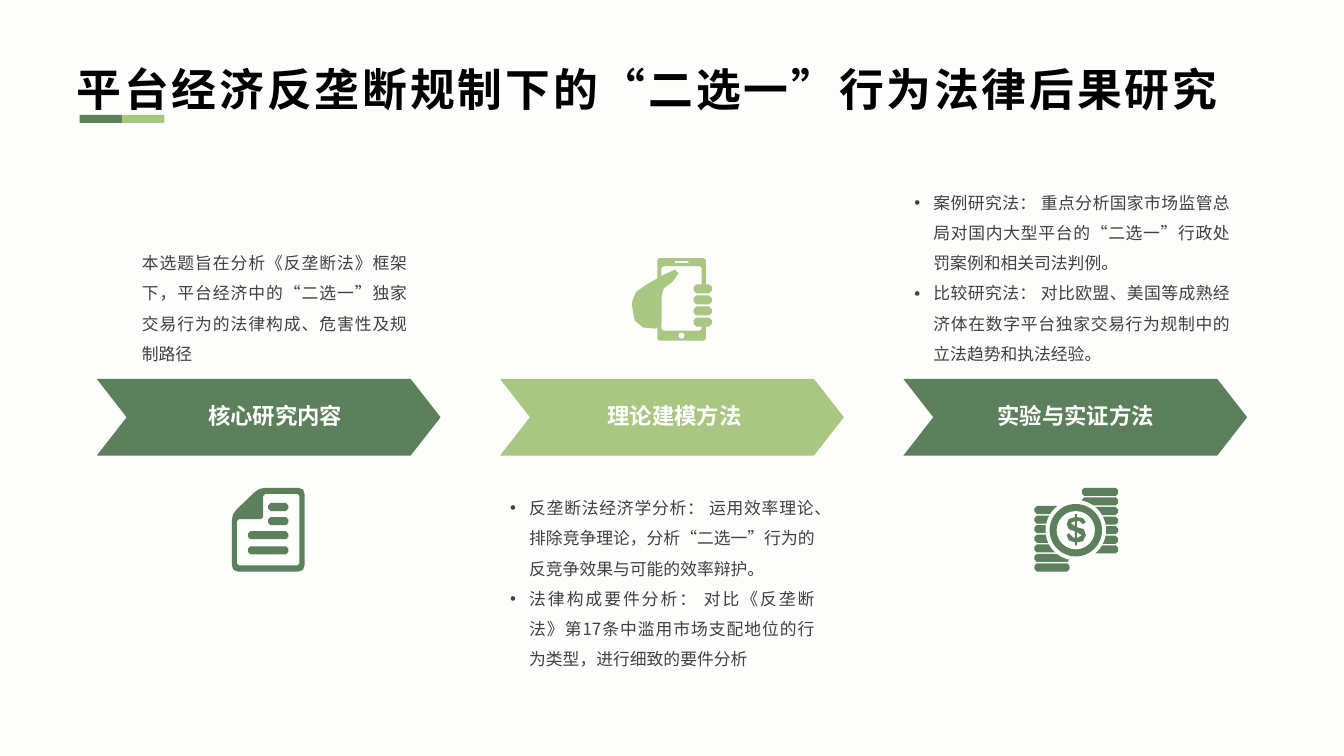
import math
from dataclasses import dataclass

import pptx
import pptx.dml.color
import pptx.enum.shapes
import pptx.enum.text
import pptx.oxml.ns
import pptx.util
from lxml import etree
from pptx.util import Inches

ALIGN = pptx.enum.text.PP_ALIGN
SHAPE = pptx.enum.shapes.MSO_SHAPE


@dataclass(frozen=True)
class Theme:
    font: str = "Noto Sans CJK SC"
    background: str = "FDFEFB"
    dark: str = "5B805B"
    light: str = "A9C683"
    body: str = "404040"
    white: str = "FFFFFF"
    black: str = "000000"
    title_size: int = 32
    label_size: int = 16
    body_size: int = 12


THEME = Theme()


def rgb(value):
    return pptx.dml.color.RGBColor.from_string(value)


def paint(shape, color):
    shape.shadow.inherit = False
    shape.fill.solid()
    shape.fill.fore_color.rgb = rgb(color)
    shape.line.fill.background()


def add_block(slide, kind, left, top, width, height, color):
    block = slide.shapes.add_shape(kind, Inches(left), Inches(top), Inches(width), Inches(height))
    paint(block, color)
    return block


def add_bullet(paragraph):
    properties = paragraph._p.get_or_add_pPr()
    properties.set("marL", str(Inches(0.19)))
    properties.set("indent", str(-Inches(0.19)))
    etree.SubElement(properties, pptx.oxml.ns.qn("a:buFont")).set("typeface", "Arial")
    etree.SubElement(properties, pptx.oxml.ns.qn("a:buChar")).set("char", "•")


def write(frame, lines, size, color, bold=False, align=ALIGN.LEFT, spacing=1.2, bullets=False):
    frame.word_wrap = True
    frame.auto_size = pptx.enum.text.MSO_AUTO_SIZE.SHAPE_TO_FIT_TEXT
    frame.text = "\n".join(lines)
    for paragraph in frame.paragraphs:
        if bullets:
            add_bullet(paragraph)
        paragraph.alignment = align
        paragraph.line_spacing = spacing
        paragraph.space_before = pptx.util.Pt(0)
        font = paragraph.runs[0].font
        font.size = pptx.util.Pt(size)
        font.bold = bold
        font.color.rgb = rgb(color)
        font.name = THEME.font
        east_asian = etree.SubElement(font._element, pptx.oxml.ns.qn("a:ea"))
        east_asian.set("typeface", THEME.font)


def add_title(slide, text):
    title = slide.shapes.title
    title.left, title.top, title.width, title.height = map(Inches, (0.66, 0.45, 12.02, 0.75))
    write(title.text_frame, [text], THEME.title_size, THEME.black, bold=True)
    title.text_frame.vertical_anchor = pptx.enum.text.MSO_ANCHOR.MIDDLE
    title.text_frame.paragraphs[0].runs[0].font._element.set("spc", "200")


def add_text(slide, box, lines, *style, **options):
    frame = slide.shapes.add_textbox(*map(Inches, box)).text_frame
    write(frame, lines, *style, **options)


def add_body(slide, box, lines, bullets=False):
    add_text(slide, box, lines, THEME.body_size, THEME.body,
             align=ALIGN.JUSTIFY, spacing=1.5, bullets=bullets)


def add_stage(slide, left, label_left, label, color):
    arrow = add_block(slide, SHAPE.CHEVRON, left, 3.76, 3.41, 0.76, color)
    arrow.adjustments[0] = 0.39
    add_text(slide, (label_left, 3.89, 2.24, 0.42), [label], THEME.label_size, THEME.white,
             bold=True, align=ALIGN.CENTER)


def rounded(corners, radius, samples=2):
    """Replace each corner of a polygon by points on a short quadratic curve."""
    outline = []
    for i, corner in enumerate(corners):
        ends = []
        for neighbour in (corners[i - 1], corners[(i + 1) % len(corners)]):
            share = min(radius / math.dist(corner, neighbour), 0.5)
            ends.append([c + (n - c) * share for c, n in zip(corner, neighbour)])
        for step in range(samples):
            t = step / (samples - 1)
            outline.append([a * (1 - t) ** 2 + 2 * c * t * (1 - t) + b * t ** 2
                            for a, c, b in zip(ends[0], corner, ends[1])])
    return outline


def bar(left, top, right, height):
    bottom = top + height
    return rounded([(left, top), (right, top), (right, bottom), (left, bottom)], height * 0.3)


def add_outline(slide, contours, color):
    """Draw contours as one freeform; a contour inside another is a hole."""
    contours = [[(Inches(x), Inches(y)) for x, y in contour] for contour in contours]
    builder = slide.shapes.build_freeform(*contours[0][0])
    for i, contour in enumerate(contours):
        if i:
            builder.move_to(*contour[0])
        builder.add_line_segments(contour[1:], close=True)
    paint(builder.convert_to_shape(), color)


def add_disc(slide, x, y, radius, color):
    add_block(slide, SHAPE.OVAL, x - radius, y - radius, 2 * radius, 2 * radius, color)


def add_phone_icon(slide):
    frame = [(6.52, 2.56), (7, 2.56), (7, 2.87), (6.96, 2.87), (6.96, 2.64), (6.56, 2.64),
             (6.56, 3.28), (6.96, 3.28), (6.96, 3.2), (7, 3.2), (7, 3.38), (6.52, 3.38)]
    hand = [(6.54, 2.75), (6.65, 2.69), (6.74, 2.66), (6.72, 2.76), (6.61, 2.84), (6.56, 2.88),
            (6.56, 3.26), (6.45, 3.26), (6.32, 3.24), (6.27, 3.1), (6.27, 2.93), (6.35, 2.86)]
    fingers = [bar(6.88, 2.82 + 0.11 * i, 7.06, 0.09) for i in range(4)]
    add_outline(slide, [rounded(frame, 0.02), bar(6.69, 2.59, 6.83, 0.02)], THEME.light)
    add_disc(slide, 6.76, 3.33, 0.03, THEME.background)
    add_outline(slide, [rounded(hand, 0.06)], THEME.light)
    add_outline(slide, fingers, THEME.light)


def add_document_icon(slide):
    page = [(2.57, 4.84), (3.02, 4.84), (3.02, 5.67), (2.3, 5.67), (2.3, 5.1)]
    inside = [(2.61, 4.9), (2.97, 4.9), (2.97, 5.61), (2.35, 5.61), (2.35, 5.15), (2.61, 5.15)]
    text_lines = [(2.66, 4.99), (2.66, 5.13), (2.46, 5.27), (2.46, 5.42)]
    add_outline(slide, [rounded(page, 0.06, 3), rounded(inside, 0.02)]
                + [bar(left, top, 2.86, 0.08) for left, top in text_lines], THEME.dark)


def add_coins_icon(slide):
    dollar = [(10.66, 5.13), (10.66, 5.1), (10.68, 5.1), (10.68, 5.13), (10.74, 5.14),
              (10.77, 5.18), (10.74, 5.2), (10.71, 5.17), (10.68, 5.17), (10.68, 5.23),
              (10.75, 5.25), (10.77, 5.31), (10.74, 5.37), (10.68, 5.38), (10.68, 5.41),
              (10.66, 5.41), (10.66, 5.38), (10.6, 5.36), (10.58, 5.31), (10.6, 5.29),
              (10.63, 5.32), (10.66, 5.34), (10.66, 5.27), (10.6, 5.25), (10.58, 5.2),
              (10.6, 5.15)]
    bowls = [[(10.66, 5.17), (10.62, 5.19), (10.66, 5.22)],
             [(10.68, 5.28), (10.68, 5.34), (10.73, 5.31)]]
    stacks = [bar(left, top + 0.095 * i, right, 0.08)
              for left, top, right in [(10.26, 5.02, 10.61), (10.73, 4.84, 11.09)]
              for i in range(7)]
    add_outline(slide, stacks, THEME.dark)
    for radius, color in [(0.3, THEME.background), (0.26, THEME.dark), (0.19, THEME.background)]:
        add_disc(slide, 10.67, 5.26, radius, color)
    add_outline(slide, [dollar] + bowls, THEME.dark)


def main():
    deck = pptx.Presentation()
    deck.slide_width, deck.slide_height = Inches(13.33), Inches(7.5)
    slide = deck.slides.add_slide(deck.slide_layouts[5])
    slide.background.fill.solid()
    slide.background.fill.fore_color.rgb = rgb(THEME.background)

    add_title(slide, "平台经济反垄断规制下的“二选一”行为法律后果研究")
    for left, color in [(0.79, THEME.dark), (1.21, THEME.light)]:
        add_block(slide, SHAPE.RECTANGLE, left, 1.14, 0.42, 0.08, color)

    add_phone_icon(slide)
    add_document_icon(slide)
    add_coins_icon(slide)

    stages = [(1.61, "核心研究内容", THEME.dark),
              (5.57, "理论建模方法", THEME.light),
              (9.55, "实验与实证方法", THEME.dark)]
    for i, (label_left, label, color) in enumerate(stages):
        add_stage(slide, 0.96 + 4 * i, label_left, label, color)

    add_body(slide, (1.31, 2.36, 2.83, 1.31), [
        "本选题旨在分析《反垄断法》框架下，平台经济中的“二选一”独家交易行为的法律构成、危害性及规制路径"])
    add_body(slide, (4.96, 4.79, 3.22, 1.92), [
        "反垄断法经济学分析： 运用效率理论、排除竞争理论，分析“二选一”行为的反竞争效果与可能的效率辩护。",
        "法律构成要件分析： 对比《反垄断法》第17条中滥用市场支配地位的行为类型，进行细致的要件分析",
    ], bullets=True)
    add_body(slide, (8.97, 1.76, 3.33, 1.92), [
        "案例研究法： 重点分析国家市场监管总局对国内大型平台的“二选一”行政处罚案例和相关司法判例。",
        "比较研究法： 对比欧盟、美国等成熟经济体在数字平台独家交易行为规制中的立法趋势和执法经验。",
    ], bullets=True)
    deck.save("out.pptx")


if __name__ == "__main__":
    main()
